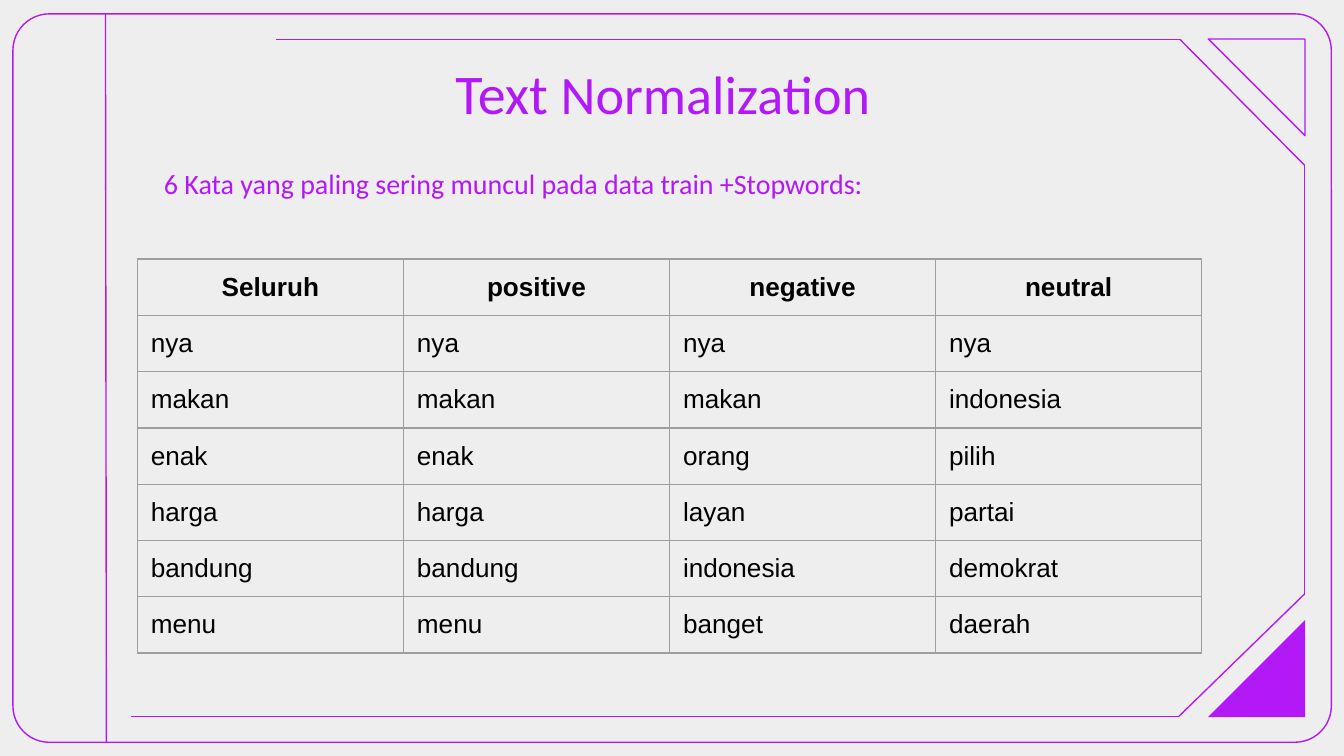
import dataclasses
import itertools
import typing

import lxml.etree
import pptx
import pptx.dml.color
import pptx.enum.shapes
import pptx.enum.text
import pptx.oxml
import pptx.oxml.ns
import pptx.util

PURPLE = pptx.dml.color.RGBColor(0xB2, 0x19, 0xF6)
BLACK = pptx.dml.color.RGBColor(0, 0, 0)
GRAY = pptx.dml.color.RGBColor(0x9E, 0x9E, 0x9E)
PAPER = pptx.dml.color.RGBColor(0xEE, 0xEE, 0xEE)
LINE_WIDTH = pptx.util.Pt(0.75)
INSET = pptx.util.Inches(0.1)
GRID_UNIT = pptx.util.Inches(0.1)
LEFT = pptx.enum.text.PP_ALIGN.LEFT
CENTER = pptx.enum.text.PP_ALIGN.CENTER
SHAPES = pptx.enum.shapes.MSO_SHAPE


class Point(typing.NamedTuple):
    column: float
    row: float


@dataclasses.dataclass
class Area:
    column: float
    row: float
    columns: float
    rows: float

    def lengths(self) -> list[int]:
        return [grid(value) for value in dataclasses.astuple(self)]


@dataclasses.dataclass
class Corner:
    area: Area
    rotation: int
    filled: bool


class Piece(typing.NamedTuple):
    text: str
    size: int


DIVIDER = [Point(7.85, 1), Point(7.92, 55.2)]
INNER_FRAME = [Point(20.5, 2.94), Point(87.8, 2.94), Point(97.07, 12.3),
               Point(97.07, 44.2), Point(87.7, 53.32), Point(9.78, 53.32)]
CORNERS = [Corner(Area(89.9, 46.15, 7.2, 7.2), 0, True),
           Corner(Area(89.9, 2.9, 7.2, 7.2), 270, False)]
WORDS = [
    ["Seluruh", "positive", "negative", "neutral"],
    ["nya", "nya", "nya", "nya"],
    ["makan", "makan", "makan", "indonesia"],
    ["enak", "enak", "orang", "pilih"],
    ["harga", "harga", "layan", "partai"],
    ["bandung", "bandung", "indonesia", "demokrat"],
    ["menu", "menu", "banget", "daerah"],
]
TABLE_ROW, TABLE_COLUMN = 4.18, 19.8


def grid(units: float) -> int:
    return round(units * GRID_UNIT)


def draw_shape(page, kind, area: Area, filled: bool):
    shape = page.shapes.add_shape(kind, *area.lengths())
    shape.shadow.inherit = False
    if filled:
        shape.fill.solid()
        shape.fill.fore_color.rgb = PURPLE
        shape.line.fill.background()
    else:
        shape.fill.background()
        shape.line.color.rgb = PURPLE
        shape.line.width = LINE_WIDTH
    return shape


def draw_corner(page, corner: Corner) -> None:
    triangle = draw_shape(page, SHAPES.RIGHT_TRIANGLE, corner.area, corner.filled)
    triangle.rotation = corner.rotation
    triangle._element.spPr.xfrm.set("flipH", "1")


def draw_path(page, points: list[Point]) -> None:
    for start, end in itertools.pairwise(points):
        line = page.shapes.add_connector(
            pptx.enum.shapes.MSO_CONNECTOR.STRAIGHT,
            *map(grid, start), *map(grid, end))
        line.line.color.rgb = PURPLE
        line.line.width = LINE_WIDTH
        lxml.etree.SubElement(line._element.spPr, pptx.oxml.ns.qn("a:effectLst"))


def fill_placeholder(page, box, area: Area, pieces: list[Piece], alignment) -> None:
    box.left, box.top, box.width, box.height = area.lengths()
    frame = box.text_frame
    frame.word_wrap = True
    frame.auto_size = pptx.enum.text.MSO_AUTO_SIZE.NONE
    frame.vertical_anchor = pptx.enum.text.MSO_ANCHOR.TOP
    frame.margin_left = frame.margin_right = INSET
    frame.margin_top = frame.margin_bottom = INSET
    para = frame.paragraphs[0]
    para.alignment = alignment
    para.space_before = pptx.util.Pt(0)
    for piece in pieces:
        span = para.add_run()
        span.text = piece.text
        span.font.name = "Calibri"
        span.font.size = pptx.util.Pt(piece.size)
        span.font.color.rgb = PURPLE
    page.shapes._spTree.append(box._element)


def draw_borders(cell) -> None:
    properties = cell._tc.get_or_add_tcPr()
    for index, side in enumerate(("lnL", "lnR", "lnT", "lnB")):
        properties.insert(index, pptx.oxml.parse_xml(
            f'<a:{side} {pptx.oxml.ns.nsdecls("a")} w="{LINE_WIDTH}"><a:solidFill>'
            f'<a:srgbClr val="{GRAY}"/></a:solidFill></a:{side}>'))


def fill_cell(cell, text: str, heading: bool) -> None:
    cell.fill.background()
    cell.margin_left = cell.margin_right = INSET
    cell.margin_top = cell.margin_bottom = INSET
    draw_borders(cell)
    para = cell.text_frame.paragraphs[0]
    para.alignment = CENTER if heading else LEFT
    span = para.add_run()
    span.text = text
    span.font.name = "Arial"
    span.font.size = pptx.util.Pt(14)
    span.font.bold = heading
    span.font.color.rgb = BLACK


def draw_table(page, words: list[list[str]], corner: Point) -> None:
    area = Area(*corner, TABLE_COLUMN * len(words[0]), TABLE_ROW * len(words))
    table = page.shapes.add_table(len(words), len(words[0]), *area.lengths()).table
    table.first_row = table.horz_banding = False
    for row, texts in enumerate(words):
        for column, text in enumerate(texts):
            fill_cell(table.cell(row, column), text, row == 0)


def main() -> None:
    deck = pptx.Presentation()
    deck.slide_width = grid(100)
    deck.slide_height = deck.slide_width * 9 // 16
    page = deck.slides.add_slide(deck.slide_layouts[0])
    page.background.fill.solid()
    page.background.fill.fore_color.rgb = PAPER
    title, subtitle = page.placeholders

    border = draw_shape(page, SHAPES.ROUNDED_RECTANGLE, Area(0.96, 1.03, 98.1, 54.2), False)
    border.adjustments[0] = 0.05
    draw_path(page, DIVIDER)
    draw_path(page, INNER_FRAME)
    for corner in CORNERS:
        draw_corner(page, corner)

    fill_placeholder(page, title, Area(10.45, 3.35, 78.7, 9.8),
                     [Piece("Text ", 30), Piece("Normalization", 29), Piece(" ", 30)],
                     CENTER)
    fill_placeholder(
        page, subtitle, Area(11.2, 11.4, 78.7, 6.9),
        [Piece("6 Kata yang paling sering muncul pada data train +Stopwords:", 15)], LEFT)
    draw_table(page, WORDS, Point(10.22, 19.27))
    deck.save("out.pptx")


if __name__ == "__main__":
    main()
